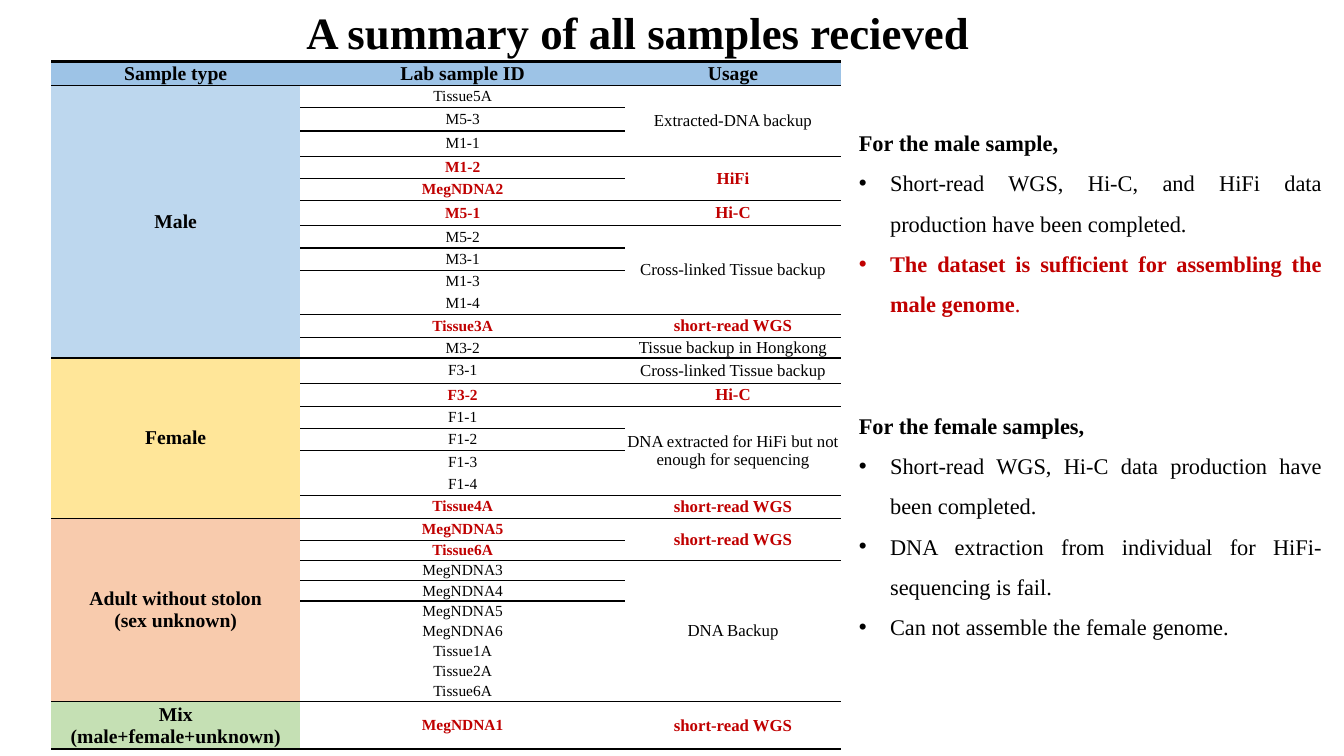
from lxml import etree
from pptx import Presentation
from pptx.dml.color import RGBColor
from pptx.enum.text import MSO_ANCHOR, PP_ALIGN
from pptx.oxml.ns import qn
from pptx.util import Inches, Pt

CENTER, JUSTIFY, MIDDLE = PP_ALIGN.CENTER, PP_ALIGN.JUSTIFY, MSO_ANCHOR.MIDDLE
BLACK = RGBColor(0x00, 0x00, 0x00)
WHITE = RGBColor(0xFF, 0xFF, 0xFF)
RED = RGBColor(0xC0, 0x00, 0x00)
HEADER_BLUE = RGBColor(0x9D, 0xC3, 0xE6)
MALE_BLUE = RGBColor(0xBD, 0xD7, 0xEE)
FEMALE_YELLOW = RGBColor(0xFF, 0xE6, 0x99)
ADULT_ORANGE = RGBColor(0xF8, 0xCB, 0xAD)
MIX_GREEN = RGBColor(0xC5, 0xE0, 0xB4)
FONT = "Times New Roman"
NO_GRID_STYLE = "{2D5ABB26-0587-4C30-8999-92F81FD0307C}"
THIN, THICK = 1, 2

HEADERS = ["Sample type", "Lab sample ID", "Usage"]
COLUMN_WIDTHS = [2.47, 3.23, 2.14]
ROW_HEIGHTS = ([0.24, 0.22, 0.23, 0.25, 0.22, 0.22, 0.25] + [0.22] * 4
               + [0.23, 0.2, 0.25, 0.23] + [0.22] * 4 + [0.23, 0.22]
               + [0.2] * 8 + [0.47])

# Sample type, fill, then blocks of (usage, sequenced, sample IDs)
GROUPS = [
    ("Male", MALE_BLUE, [
        ("Extracted-DNA backup", False, ["Tissue5A", "M5-3", "M1-1"]),
        ("HiFi", True, ["M1-2", "MegNDNA2"]),
        ("Hi-C", True, ["M5-1"]),
        ("Cross-linked Tissue backup", False, ["M5-2", "M3-1", "M1-3", "M1-4"]),
        ("short-read WGS", True, ["Tissue3A"]),
        ("Tissue backup in Hongkong", False, ["M3-2"])]),
    ("Female", FEMALE_YELLOW, [
        ("Cross-linked Tissue backup", False, ["F3-1"]),
        ("Hi-C", True, ["F3-2"]),
        ("DNA extracted for HiFi but not enough for sequencing", False,
         ["F1-1", "F1-2", "F1-3", "F1-4"]),
        ("short-read WGS", True, ["Tissue4A"])]),
    ("Adult without stolon\n(sex unknown)", ADULT_ORANGE, [
        ("short-read WGS", True, ["MegNDNA5", "Tissue6A"]),
        ("DNA Backup", False, ["MegNDNA3", "MegNDNA4", "MegNDNA5", "MegNDNA6",
                               "Tissue1A", "Tissue2A", "Tissue6A"])]),
    ("Mix\n(male+female+unknown)", MIX_GREEN, [
        ("short-read WGS", True, ["MegNDNA1"])]),
]

# Runs, bulleted, space before in points
NOTES = [
    ([("For the male sample,", BLACK, True)], False, 0),
    ([("Short-read WGS, Hi-C, and HiFi data production have been completed.",
       BLACK, False)], True, 0),
    ([("The dataset is sufficient for assembling the male genome", RED, True),
      (".", RED, False)], True, 0),
    ([("For the female samples,", BLACK, True)], False, 58),
    ([("Short-read WGS, Hi-C data production have been completed.",
       BLACK, False)], True, 0),
    ([("DNA extraction from individual for HiFi-sequencing is fail.",
       BLACK, False)], True, 0),
    ([("Can not assemble the female genome.", BLACK, False)], True, 0),
]


def add_run(p, text, size, color=BLACK, bold=False):
    r = p.add_run()
    r.text = text
    for name, value in {"name": FONT, "size": Pt(size), "bold": bold}.items():
        setattr(r.font, name, value)
    r.font.color.rgb = color


def add_text_box(slide, left, top, width, height):
    box = slide.shapes.add_textbox(Inches(left), Inches(top),
                                   Inches(width), Inches(height))
    box.text_frame.word_wrap = True
    return box.text_frame


def add_title(slide, left, top, width, height):
    tf = add_text_box(slide, left, top, width, height)
    add_run(tf.paragraphs[0], "A summary of all samples recieved", 32, bold=True)


def format_cell(cell, text, size, fill, color=BLACK, bold=False):
    margins = dict.fromkeys(
        ["margin_left", "margin_right", "margin_top", "margin_bottom"], 0)
    for name, value in {**margins, "vertical_anchor": MIDDLE}.items():
        setattr(cell, name, value)
    cell.fill.solid()
    cell.fill.fore_color.rgb = fill
    tf = cell.text_frame
    for i, line in enumerate(text.split("\n")):
        p = tf.add_paragraph() if i else tf.paragraphs[0]
        p.alignment = CENTER
        add_run(p, line, size, color, bold)


def set_border(cell, side, width):
    """Draw one horizontal edge; edges must come before the fill."""
    tc_pr = cell._tc.get_or_add_tcPr()
    ln = etree.Element(qn("a:" + side), w=str(Pt(width)))
    fill = etree.SubElement(ln, qn("a:solidFill"))
    etree.SubElement(fill, qn("a:srgbClr"), val=str(BLACK))
    tc_pr.insert(1 if tc_pr.find(qn("a:lnT")) is not None else 0, ln)


def frame_block(table, col, first, last):
    """Line the top and bottom of a block, merging its rows if needed."""
    final = len(table.rows) - 1
    set_border(table.cell(first, col), "lnT", THICK if first == 0 else THIN)
    for row in sorted({first, last}):
        set_border(table.cell(row, col), "lnB", THICK if last == final else THIN)


def add_sample_table(slide, left, top, width, height):
    table = slide.shapes.add_table(
        len(ROW_HEIGHTS), len(HEADERS), Inches(left), Inches(top),
        Inches(width), Inches(height)).table
    table.first_row = table.horz_banding = False
    table._tbl.tblPr.find(qn("a:tableStyleId")).text = NO_GRID_STYLE
    for column, share in zip(table.columns, COLUMN_WIDTHS):
        column.width = Inches(width * share / sum(COLUMN_WIDTHS))
    for row, share in zip(table.rows, ROW_HEIGHTS):
        row.height = Inches(height * share / sum(ROW_HEIGHTS))

    # Header
    for col, text in enumerate(HEADERS):
        format_cell(table.cell(0, col), text, 14, HEADER_BLUE, bold=True)
        frame_block(table, col, 0, 0)

    # Sample groups
    first = 1
    for sample_type, fill, blocks in GROUPS:
        start = first
        for usage, sequenced, ids in blocks:
            last = first + len(ids) - 1
            style = {"color": RED if sequenced else BLACK, "bold": sequenced}
            for row, sample_id in enumerate(ids, first):
                format_cell(table.cell(row, 1), sample_id, 11, WHITE, **style)
            format_cell(table.cell(first, 2), usage, 12, WHITE, **style)
            # The first ID is ruled off, except in the HiFi pair
            cuts = [first, last + 1]
            if len(ids) > 1 and usage != "HiFi":
                cuts.insert(1, first + 1)
            for a, b in zip(cuts, cuts[1:]):
                set_border(table.cell(a, 1), "lnT", THIN)
                final = b == len(ROW_HEIGHTS)
                set_border(table.cell(b - 1, 1), "lnB", THICK if final else THIN)
            frame_block(table, 2, first, last)
            if last > first:
                table.cell(first, 2).merge(table.cell(last, 2))
            first = last + 1
        format_cell(table.cell(start, 0), sample_type, 14, fill, bold=True)
        frame_block(table, 0, start, first - 1)
        if first - 1 > start:
            table.cell(start, 0).merge(table.cell(first - 1, 0))


def add_notes(slide, left, top, width, height):
    tf = add_text_box(slide, left, top, width, height)
    for i, (runs, bulleted, space) in enumerate(NOTES):
        p = tf.add_paragraph() if i else tf.paragraphs[0]
        for name, value in {"alignment": JUSTIFY, "line_spacing": 1.5,
                            "space_before": Pt(space)}.items():
            setattr(p, name, value)
        if bulleted:
            p_pr = p._p.get_or_add_pPr()
            p_pr.set("marL", str(Inches(0.31)))
            p_pr.set("indent", str(-Inches(0.31)))
            etree.SubElement(p_pr, qn("a:buFont"), typeface="Arial")
            etree.SubElement(p_pr, qn("a:buChar"), char="•")
        for text, color, bold in runs:
            add_run(p, text, 16, color, bold)


def main():
    prs = Presentation()
    prs.slide_width, prs.slide_height = Inches(13.33), Inches(7.5)
    slide = prs.slides.add_slide(prs.slide_layouts[6])
    add_title(slide, 2.94, 0, 7.46, 0.64)
    add_sample_table(slide, 0.51, 0.61, 7.83, 6.83)
    add_notes(slide, 8.42, 1.1, 4.79, 5.3)
    prs.save("out.pptx")


if __name__ == "__main__":
    main()
